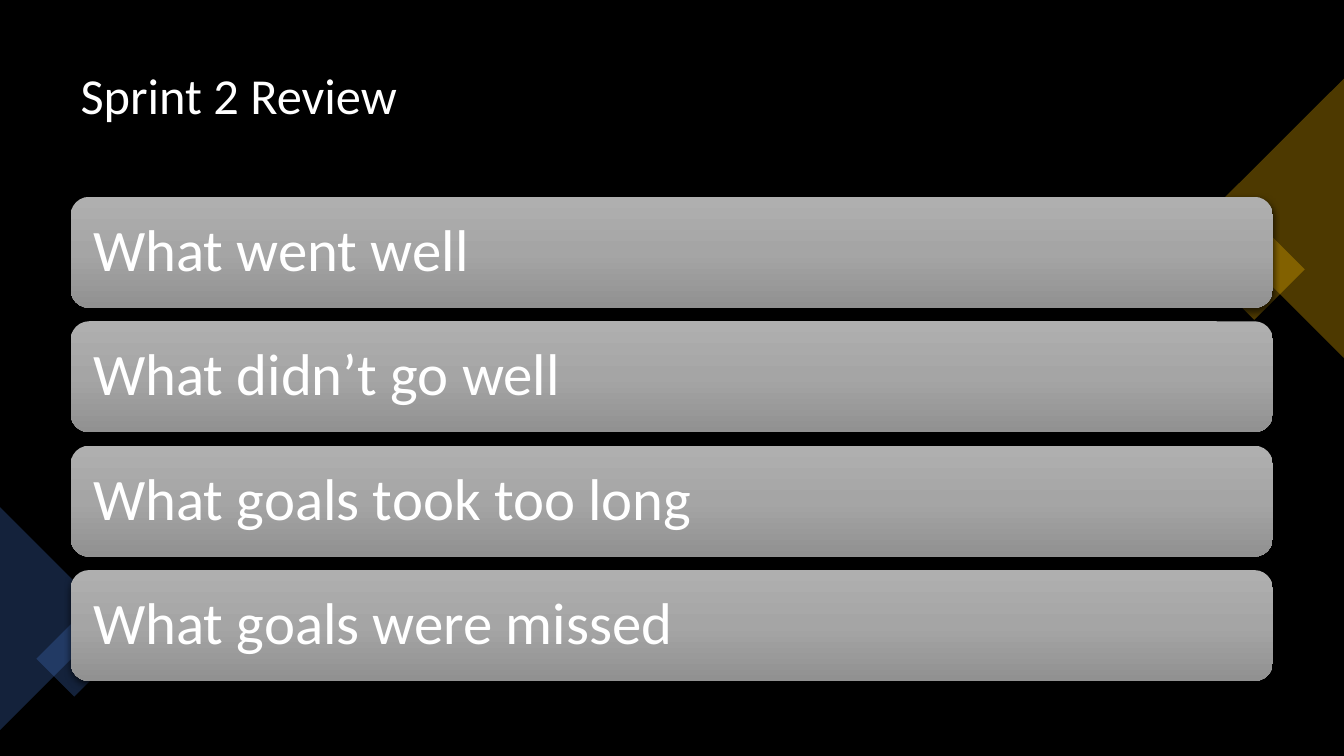
from copy import deepcopy
from dataclasses import dataclass

from lxml import etree
from pptx import Presentation
from pptx.dml.color import RGBColor
from pptx.enum.shapes import MSO_SHAPE
from pptx.enum.text import MSO_ANCHOR
from pptx.enum.text import PP_ALIGN
from pptx.oxml.ns import qn
from pptx.util import Cm, Pt

RECT = MSO_SHAPE.RECTANGLE
TRIANGLE = MSO_SHAPE.ISOSCELES_TRIANGLE
ROUNDED = MSO_SHAPE.ROUNDED_RECTANGLE
MIDDLE = MSO_ANCHOR.MIDDLE
LEFT = PP_ALIGN.LEFT


@dataclass(frozen=True)
class Theme:
    """Colours, font and type sizes of the slide."""
    background: str = "000000"
    text: str = "FFFFFF"
    gold: str = "FFC000"
    blue: str = "4472C4"
    shadow: str = "000000"
    bar_stops: tuple = ((0, "AFAFAF"), (0.5, "A5A5A5"), (1, "919191"))
    font: str = "Calibri"
    title_size: int = 36
    bar_size: int = 42


THEME = Theme()
QUESTIONS = ("What went well", "What didn’t go well",
             "What goals took too long", "What goals were missed")


def rgb(colour):
    """Turn a hex string into a colour."""
    return RGBColor.from_string(colour)


def add_alpha(colour_el, percent):
    """Make a colour element partly transparent."""
    etree.SubElement(colour_el, qn("a:alpha"), val=str(percent * 1000))


def write(tf, text, size):
    """Write one left-aligned line in the middle of a text frame."""
    tf.word_wrap = True
    tf.vertical_anchor = MIDDLE
    p = tf.paragraphs[0]
    p.text = text
    p.alignment = LEFT
    p.line_spacing = 0.9
    p.font.name = THEME.font
    p.font.size = Pt(size)
    p.font.color.rgb = rgb(THEME.text)


def add_glass(slide, kind, centre, size, rotation, colour):
    """Add a rotated translucent shape around a centre point."""
    (x, y), (w, h) = centre, size
    s = slide.shapes.add_shape(kind, Cm(x - w / 2), Cm(y - h / 2), Cm(w), Cm(h))
    s.rotation = rotation
    s.shadow.inherit = False
    s.line.fill.background()
    s.fill.solid()
    s.fill.fore_color.rgb = rgb(colour)
    add_alpha(s._element.spPr.find(".//" + qn("a:srgbClr")), 30)


def add_corner(slide, box, rotation, diamond_at, diamond_side, colour):
    """Fill an edge box with a triangle and a small diamond."""
    x, y, w, h = box
    dx, dy = diamond_at
    add_glass(slide, TRIANGLE, (x + w / 2, y + h / 2), (h, w), rotation, colour)
    add_glass(slide, RECT, (x + dx, y + dy), (diamond_side, diamond_side), 45, colour)


def add_title(slide, box, text):
    """Add the slide title."""
    sp = slide.shapes.add_textbox(*map(Cm, box))
    write(sp.text_frame, text, THEME.title_size)


def add_bar(slide, box, text):
    """Add a shaded, shadowed rounded bar with its text."""
    s = slide.shapes.add_shape(ROUNDED, *map(Cm, box))
    s.adjustments[0] = 0.167
    s.line.fill.background()
    s.fill.gradient()
    s.fill.gradient_angle = 270
    stop_list = s._element.spPr.find(".//" + qn("a:gsLst"))
    stop_list.append(deepcopy(stop_list[0]))
    for stop, (position, colour) in zip(s.fill.gradient_stops, THEME.bar_stops):
        stop.position = position
        stop.color.rgb = rgb(colour)
    s.shadow.inherit = False
    effects = s._element.spPr.find(qn("a:effectLst"))
    shadow = etree.SubElement(effects, qn("a:outerShdw"), blurRad=str(Pt(4.5)),
                              dist=str(Pt(1.5)), dir="5400000", algn="ctr",
                              rotWithShape="0")
    add_alpha(etree.SubElement(shadow, qn("a:srgbClr"), val=THEME.shadow), 63)
    tf = s.text_frame
    tf.margin_left = tf.margin_right = tf.margin_top = tf.margin_bottom = Cm(0.43)
    write(tf, text, THEME.bar_size)


def add_bars(slide, box, texts, gap=0.34):
    """Stack equal bars down the box."""
    x, y, w, h = box
    bar_h = (h - gap * (len(texts) - 1)) / len(texts)
    for i, text in enumerate(texts):
        add_bar(slide, (x, y + i * (bar_h + gap), w, bar_h), text)


def main():
    """Build and save the sprint review slide."""
    prs = Presentation()
    prs.slide_width, prs.slide_height = Cm(33.87), Cm(19.05)
    slide = prs.slides.add_slide(prs.slide_layouts[6])
    fill = slide.background.fill
    fill.solid()
    fill.fore_color.rgb = rgb(THEME.background)
    add_title(slide, (1.78, 0.89, 30.3, 3.15), "Sprint 2 Review")
    add_corner(slide, (30.34, 1.98, 3.53, 7.04), 270, (1.27, 4.81), 1.8, THEME.gold)
    add_corner(slide, (0, 12.78, 2.81, 5.62), 90, (1.87, 3.82), 1.35, THEME.blue)
    add_bars(slide, (1.78, 4.96, 30.3, 12.2), QUESTIONS)
    prs.save("out.pptx")


if __name__ == "__main__":
    main()
